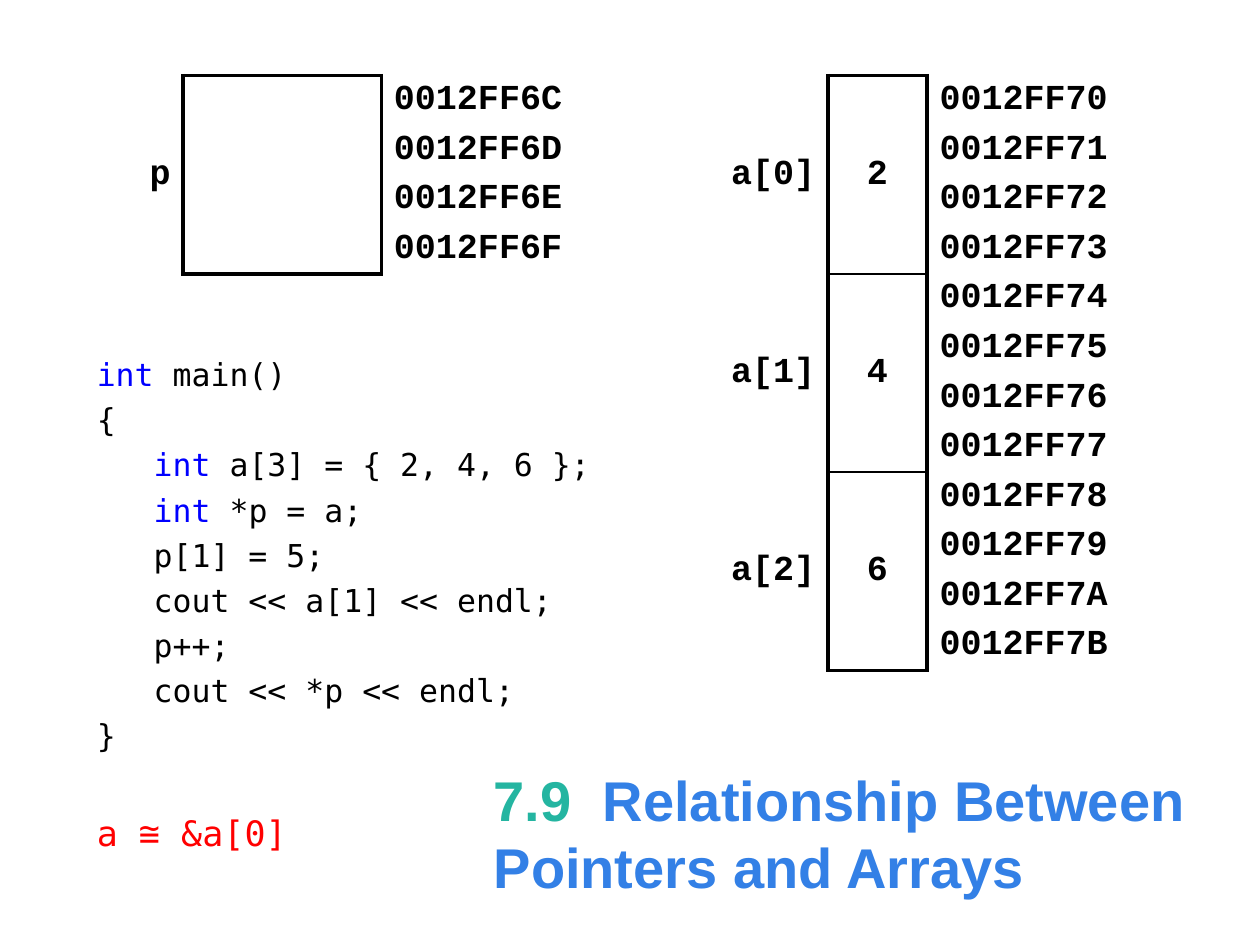
from pptx import Presentation
from pptx.dml.color import RGBColor
from pptx.enum.text import MSO_ANCHOR, PP_ALIGN
from pptx.oxml.ns import qn
from pptx.oxml.xmlchemy import OxmlElement
from pptx.util import Inches, Pt

LEFT, CENTER, RIGHT = PP_ALIGN.LEFT, PP_ALIGN.CENTER, PP_ALIGN.RIGHT
TOP, MIDDLE = MSO_ANCHOR.TOP, MSO_ANCHOR.MIDDLE

COLORS = {
    "ink": "000000",
    "keyword": "0000FF",
    "note": "FF0000",
    "number": "24B5A1",
    "title": "3380E6",
}
PLAIN_TABLE = "{2D5ABB26-0587-4C30-8999-92F81FD0307C}"
BYTES = 4
UNIT = 4.72 / 12
THICK, THIN = 2.25, 1

CODE = [
    [("int", "keyword"), (" main()", "ink")],
    [("{", "ink")],
    [("   ", "ink"), ("int", "keyword"), (" a[3] = { 2, 4, 6 };", "ink")],
    [("   ", "ink"), ("int", "keyword"), (" *p = a;", "ink")],
    [("   p[1] = 5;", "ink")],
    [("   cout << a[1] << endl;", "ink")],
    [("   p++;", "ink")],
    [("   cout << *p << endl;", "ink")],
    [("}", "ink")],
]


def write(para, text, *, font, size, color="ink", bold=False, align=LEFT):
    para.alignment = align
    span = para.add_run()
    span.text = text
    span.font.name = font
    span.font.size = Pt(size)
    span.font.bold = bold
    span.font.color.rgb = RGBColor.from_string(COLORS[color])


def add_box(page, left, top, width, height, anchor=TOP):
    box = page.shapes.add_textbox(Inches(left), Inches(top), Inches(width), Inches(height))
    frame = box.text_frame
    frame.word_wrap = True
    frame.vertical_anchor = anchor
    return frame


def add_title(page):
    para = add_box(page, 3.82, 5.92, 5.71, 1.38, MIDDLE).paragraphs[0]
    write(para, "7.9  ", font="Arial", size=32, color="number", bold=True)
    write(para, "Relationship Between Pointers and Arrays",
          font="Arial", size=32, color="title", bold=True)


def add_code(page):
    frame = add_box(page, 0.67, 2.77, 4.13, 4.13)
    for index, line in enumerate(CODE):
        para = frame.add_paragraph() if index else frame.paragraphs[0]
        if index:
            para.space_before = Pt(4.2)
        for text, color in line:
            write(para, text, font="DejaVu Sans Mono", size=18, color=color)
    para = frame.add_paragraph()
    para.space_before = Pt(32.6)
    write(para, "a ≅ &a[0]", font="DejaVu Sans Mono", size=20, color="note")


def set_borders(cell, **widths):
    properties = cell._tc.get_or_add_tcPr()
    for side in "LRTB":
        if side not in widths:
            continue
        line = OxmlElement(f"a:ln{side}")
        line.set("w", str(Pt(widths[side])))
        fill = OxmlElement("a:solidFill")
        color = OxmlElement("a:srgbClr")
        color.set("val", COLORS["ink"])
        fill.append(color)
        line.append(fill)
        properties.append(line)


def fill_cell(cell, text="", align=LEFT):
    cell.fill.background()
    cell.margin_left = cell.margin_right = Inches(0.1)
    cell.margin_top = cell.margin_bottom = Inches(0.02)
    cell.vertical_anchor = MIDDLE
    if text:
        write(cell.text_frame.paragraphs[0], text,
              font="Courier New", size=20, bold=True, align=align)


def add_memory(page, left, column_units, variables, first_address):
    rows = BYTES * len(variables)
    frame = page.shapes.add_table(
        rows, 3, Inches(left), Inches(0.6),
        Inches(sum(column_units) * UNIT), Inches(rows * UNIT))
    table = frame.table
    table.first_row = table.horz_banding = False
    table._tbl.tblPr.find(qn("a:tableStyleId")).text = PLAIN_TABLE
    for column, units in zip(table.columns, column_units):
        column.width = Inches(units * UNIT)
    for index, row in enumerate(table.rows):
        row.height = Inches(UNIT)
        label, value, address = row.cells
        group, offset = divmod(index, BYTES)
        name, content = variables[group] if offset == 0 else ("", "")
        edges = {"L": THICK, "R": THICK}
        if offset == 0:
            edges["T"] = THIN if group else THICK
            edges["B"] = THICK if group == len(variables) - 1 else THIN
        set_borders(label, R=THICK)
        set_borders(value, **edges)
        set_borders(address, L=THICK)
        fill_cell(label, name, RIGHT)
        fill_cell(value, content, CENTER)
        fill_cell(address, f"{first_address + index:08X}")
    for start in range(0, rows, BYTES):
        for column in (0, 1):
            table.cell(start, column).merge(table.cell(start + BYTES - 1, column))


def main():
    deck = Presentation()
    deck.slide_width, deck.slide_height = Inches(10), Inches(7.5)
    page = deck.slides.add_slide(deck.slide_layouts[6])
    add_title(page)
    add_code(page)
    add_memory(page, 5.39, (3, 2, 4), [("a[0]", "2"), ("a[1]", "4"), ("a[2]", "6")], 0x0012FF70)
    add_memory(page, 1.06, (1, 4, 4), [("p", "")], 0x0012FF6C)
    deck.save("out.pptx")


if __name__ == "__main__":
    main()
